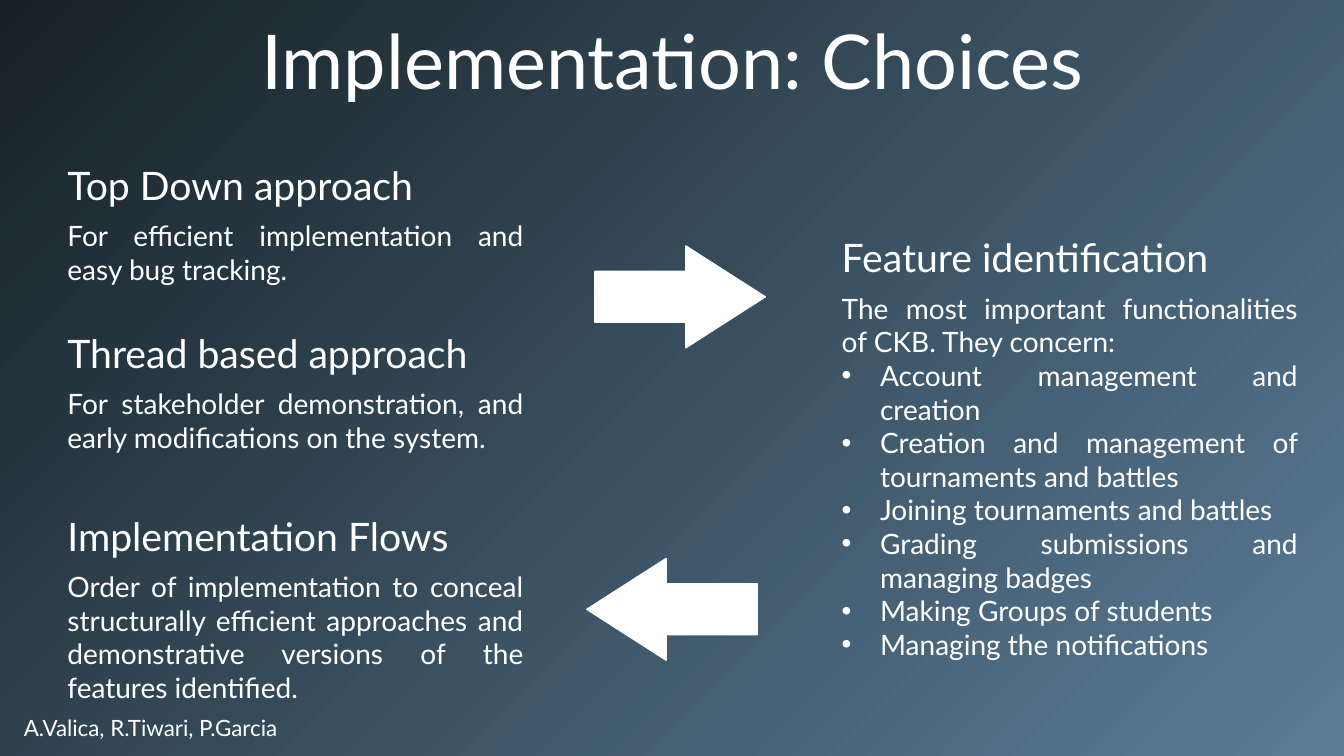
from lxml import etree
from pptx import Presentation
from pptx.dml.color import RGBColor
from pptx.enum import shapes, text
from pptx.oxml import ns
from pptx.util import Inches, Pt

WHITE = RGBColor(0xFF, 0xFF, 0xFF)
DARK = RGBColor(0x16, 0x21, 0x26)
LIGHT = RGBColor(0x5B, 0x7C, 0x97)
FONT = "Lato"
LEFT, RIGHT, WIDTH = 0.57, 8.25, 4.72
ALIGN = text.PP_ALIGN

TOPICS = [
    (LEFT, 1.55, 0.77, "Top Down approach",
     ["For efficient implementation and easy bug tracking."], []),
    (LEFT, 3.22, 0.77, "Thread based approach",
     ["For stakeholder demonstration, and early modifications on the system."], []),
    (LEFT, 5.03, 1.45, "Implementation Flows",
     ["Order of implementation to conceal structurally efficient approaches "
      "and demonstrative versions of the features identified."], []),
    (RIGHT, 2.27, 3.8, "Feature identification",
     ["The most important functionalities of CKB. They concern:"],
     ["Account management and creation",
      "Creation and management of tournaments and battles",
      "Joining tournaments and battles",
      "Grading submissions and managing badges",
      "Making Groups of students",
      "Managing the notifications"]),
]


def paint(slide):
    fill = slide.background.fill
    fill.gradient()
    fill.gradient_angle = 315
    for stop, color in zip(fill.gradient_stops, (DARK, LIGHT)):
        stop.color.rgb = color


def add_bullet(para):
    props = para._p.get_or_add_pPr()
    props.set("marL", str(Inches(0.38)))
    props.set("indent", str(Inches(-0.38)))
    font = etree.SubElement(props, ns.qn("a:buFont"))
    font.set("typeface", "Arial")
    mark = etree.SubElement(props, ns.qn("a:buChar"))
    mark.set("char", "•")


def add_text(slide, lines, box, size, align=ALIGN.LEFT, wrap=True, items=()):
    frame = slide.shapes.add_textbox(*map(Inches, box)).text_frame
    frame.word_wrap = wrap
    frame.auto_size = text.MSO_AUTO_SIZE.SHAPE_TO_FIT_TEXT
    for row, line in enumerate([*lines, *items]):
        para = frame.add_paragraph() if row else frame.paragraphs[0]
        if row >= len(lines):
            add_bullet(para)
        para.alignment = align
        run = para.add_run()
        run.text = line
        run.font.name = FONT
        run.font.size = Pt(size)
        run.font.color.rgb = WHITE


def add_topic(slide, left, top, height, title, lines, items):
    add_text(slide, [title], (left, top, WIDTH, 0.57), 28)
    add_text(slide, lines, (left, top + 0.57, WIDTH, height), 20,
             align=ALIGN.JUSTIFY, items=items)


def add_arrow(slide, kind, left, top):
    arrow = slide.shapes.add_shape(kind, *map(Inches, (left, top, 1.69, 1.01)))
    arrow.adjustments[0] = 0.5
    arrow.adjustments[1] = 0.78
    arrow.shadow.inherit = False
    arrow.fill.solid()
    arrow.fill.fore_color.rgb = WHITE
    arrow.line.color.rgb = WHITE
    arrow.line.width = Pt(1)


def main():
    deck = Presentation()
    deck.slide_width, deck.slide_height = Inches(13.33), Inches(7.5)
    slide = deck.slides.add_slide(deck.slide_layouts[6])
    paint(slide)
    add_text(slide, ["A.Valica, R.Tiwari, P.Garcia"], (0.06, 7.04, 2.87, 0.37), 16,
             align=ALIGN.CENTER, wrap=False)
    add_text(slide, ["Implementation: Choices"], (2.4, 0.09, 8.54, 1.01), 54,
             align=ALIGN.CENTER, wrap=False)
    for topic in TOPICS:
        add_topic(slide, *topic)
    add_arrow(slide, shapes.MSO_SHAPE.RIGHT_ARROW, 5.9, 2.44)
    add_arrow(slide, shapes.MSO_SHAPE.LEFT_ARROW, 5.82, 5.54)
    deck.save("out.pptx")


if __name__ == "__main__":
    main()
